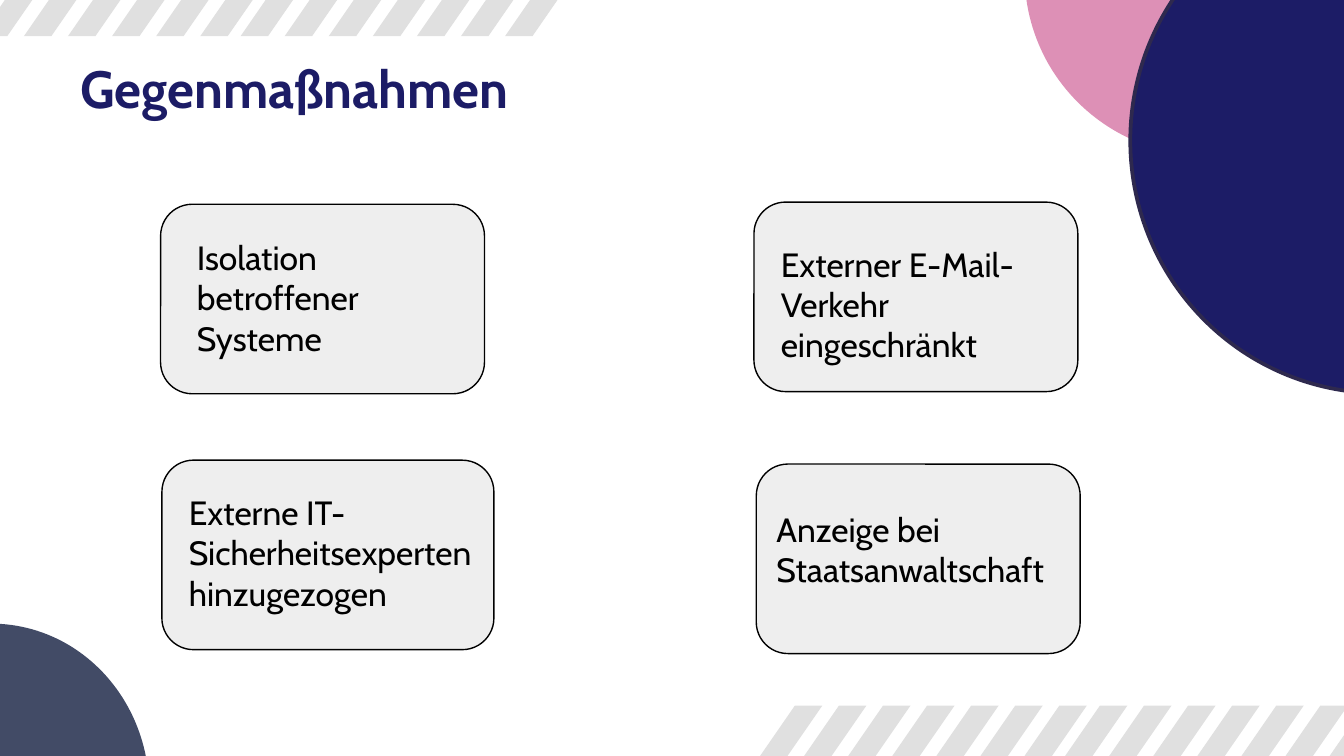
"""Builds the slide on countermeasures with four cards, circles and stripe bands."""
from dataclasses import dataclass

from pptx import Presentation
from pptx.dml.color import RGBColor
from pptx.enum.shapes import MSO_SHAPE
from pptx.enum.text import MSO_ANCHOR
from pptx.util import Emu, Inches, Pt

ROUNDED = MSO_SHAPE.ROUNDED_RECTANGLE
ELLIPSE = MSO_SHAPE.OVAL
TOP = MSO_ANCHOR.TOP
MIDDLE = MSO_ANCHOR.MIDDLE
WIDTH = Inches(10)
HEIGHT = Emu(WIDTH * 9 // 16)
COLUMNS = 100
UNIT = WIDTH / COLUMNS


@dataclass(frozen=True)
class Theme:
    """Holds the colours, the font and the type sizes."""
    font: str = "Cabin"
    title_size: float = 28
    body_size: float = 18
    navy: str = "1C1C66"
    outline: str = "2E294E"
    pink: str = "DD90B6"
    slate: str = "424B66"
    card: str = "EEEEEE"
    stripe: str = "E0E0E0"
    black: str = "000000"


@dataclass(frozen=True)
class Box:
    """Gives a rectangle in grid columns and equally tall rows."""
    left: float
    top: float
    width: float
    height: float

    def lengths(self) -> tuple[Emu, ...]:
        """Converts the grid values to slide lengths."""
        return tuple(grid(value) for value in (self.left, self.top, self.width, self.height))


@dataclass(frozen=True)
class Card:
    """Describes a card and the text box upon it."""
    frame: Box
    label: Box
    text: str


@dataclass(frozen=True)
class Circle:
    """Describes a decorative circle."""
    frame: Box
    fill: str
    line: str | None = None


@dataclass(frozen=True)
class StripeGroup:
    """Describes evenly spaced slanted stripes by their lower left corner."""
    left: float
    top: float
    count: int


THEME = Theme()
STRIPE_PITCH, STRIPE_WIDTH, STRIPE_SLANT, STRIPE_HEIGHT = 3.28, 2.04, 3.25, 4.7

CARDS = (
    Card(Box(56.27, 34.53, 24.1, 14.1), Box(57.77, 36.87, 21.8, 8),
         "Anzeige bei Staatsanwaltschaft"),
    Card(Box(56.1, 15.04, 24.1, 14.1), Box(58.1, 17.13, 18.6, 11),
         "Externer E-Mail-Verkehr eingeschränkt"),
    Card(Box(11.95, 15.2, 24.1, 14.1), Box(14.65, 16.63, 19.5, 11),
         "Isolation betroffener Systeme"),
    Card(Box(12.05, 34.24, 24.7, 14.1), Box(14.05, 35.6, 21.4, 11),
         "Externe IT-Sicherheitsexperten hinzugezogen"),
)
CIRCLES = (
    Circle(Box(76.24, -15.4, 27.3, 27), THEME.pink),
    Circle(Box(84.1, -8.34, 37.2, 37.6), THEME.navy, THEME.outline),
    Circle(Box(-12.4, 46.4, 23.5, 24.8), THEME.slate),
)
STRIPE_GROUPS = (
    StripeGroup(78.6, 52.5, 7),
    StripeGroup(55.9, 52.5, 7),
    StripeGroup(17.9, -2, 7),
    StripeGroup(-1.5, -2, 6),
)


def grid(value: float) -> Emu:
    """Converts a number of grid units to a length."""
    return Emu(round(value * UNIT))


def set_values(target, values: dict) -> None:
    """Sets attributes from a dict of format values."""
    for name, value in values.items():
        setattr(target, name, value)


def paint(shape, fill: str, line: str | None = None, line_width: float = 0) -> None:
    """Gives a shape a flat fill and an optional outline."""
    shape.shadow.inherit = False
    shape.fill.solid()
    shape.fill.fore_color.rgb = RGBColor.from_string(fill)
    if line:
        shape.line.color.rgb = RGBColor.from_string(line)
        shape.line.width = Pt(line_width)
    else:
        shape.line.fill.background()


def add_text(slide, box: Box, text: str, size: float, color: str,
             bold: bool = False, side_inset: float = 0, anchor=MIDDLE) -> None:
    """Adds a wrapping text box."""
    frame = slide.shapes.add_textbox(*box.lengths()).text_frame
    set_values(frame, {
        "word_wrap": True, "vertical_anchor": anchor,
        "margin_left": grid(side_inset), "margin_right": grid(side_inset),
        "margin_top": grid(1), "margin_bottom": grid(1),
    })
    run = frame.paragraphs[0].add_run()
    run.text = text
    set_values(run.font, {"name": THEME.font, "size": Pt(size), "bold": bold})
    run.font.color.rgb = RGBColor.from_string(color)


def add_card(slide, card: Card) -> None:
    """Adds a rounded card with its text."""
    shape = slide.shapes.add_shape(ROUNDED, *card.frame.lengths())
    paint(shape, THEME.card, THEME.black, 0.75)
    add_text(slide, card.label, card.text, THEME.body_size, THEME.black)


def add_circle(slide, circle: Circle) -> None:
    """Adds a decorative circle."""
    shape = slide.shapes.add_shape(ELLIPSE, *circle.frame.lengths())
    paint(shape, circle.fill, circle.line, 2)


def add_stripes(slide, group: StripeGroup) -> None:
    """Adds a group of slanted stripes."""
    bottom = group.top + STRIPE_HEIGHT
    for index in range(group.count):
        left = group.left + index * STRIPE_PITCH
        upper_left = left + STRIPE_SLANT
        corners = [(upper_left, group.top), (left, bottom),
                   (left + STRIPE_WIDTH, bottom), (upper_left + STRIPE_WIDTH, group.top)]
        points = [(grid(x), grid(y)) for x, y in corners]
        builder = slide.shapes.build_freeform(*points[0])
        builder.add_line_segments(points[1:], close=True)
        paint(builder.convert_to_shape(), THEME.stripe)


def main() -> None:
    """Builds and saves the presentation."""
    presentation = Presentation()
    set_values(presentation, {"slide_width": WIDTH, "slide_height": HEIGHT})
    slide = presentation.slides.add_slide(presentation.slide_layouts[6])
    add_text(slide, Box(5, 3.2, 90, 6.3), "Gegenmaßnahmen", THEME.title_size,
             THEME.navy, bold=True, side_inset=1, anchor=TOP)
    for draw, items in ((add_card, CARDS), (add_circle, CIRCLES), (add_stripes, STRIPE_GROUPS)):
        for item in items:
            draw(slide, item)
    presentation.save("out.pptx")


if __name__ == "__main__":
    main()
